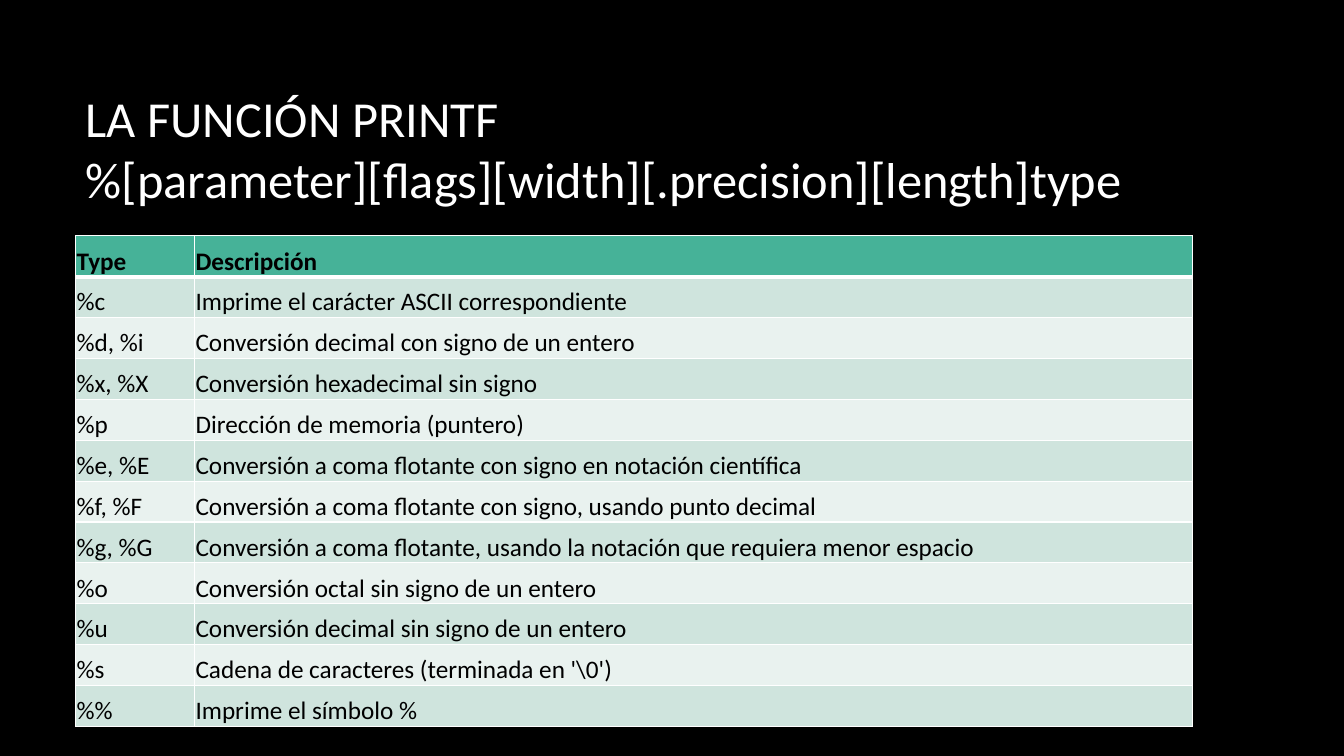
from dataclasses import dataclass

from lxml import etree
from pptx import Presentation
from pptx.dml.color import RGBColor
from pptx.enum.text import MSO_ANCHOR, MSO_AUTO_SIZE, PP_ALIGN
from pptx.oxml.ns import qn
from pptx.util import Inches, Pt

MIDDLE, BOTTOM = MSO_ANCHOR.MIDDLE, MSO_ANCHOR.BOTTOM
LEFT = PP_ALIGN.LEFT
NO_AUTOFIT = MSO_AUTO_SIZE.NONE
TITLE_ONLY = 5


@dataclass(frozen=True)
class Theme:
    font: str = "Calibri"
    background: str = "000000"
    title: str = "FFFFFF"
    text: str = "000000"
    border: str = "FFFFFF"
    header: str = "46B298"
    bands: tuple = ("CFE4DD", "E9F2EF")
    title_size: int = 36
    table_size: int = 18


THEME = Theme()

TITLE = ("LA FUNCIÓN PRINTF", "%[parameter][flags][width][.precision][length]type")
COLUMN_WIDTHS = (1.18, 9.9)
CONVERSIONS = [
    ("Type", "Descripción"),
    ("%c", "Imprime el carácter ASCII correspondiente"),
    ("%d, %i", "Conversión decimal con signo de un entero"),
    ("%x, %X", "Conversión hexadecimal sin signo"),
    ("%p", "Dirección de memoria (puntero)"),
    ("%e, %E", "Conversión a coma flotante con signo en notación científica"),
    ("%f, %F", "Conversión a coma flotante con signo, usando punto decimal"),
    ("%g, %G", "Conversión a coma flotante, usando la notación que requiera menor espacio"),
    ("%o", "Conversión octal sin signo de un entero"),
    ("%u", "Conversión decimal sin signo de un entero"),
    ("%s", "Cadena de caracteres (terminada en '\\0')"),
    ("%%", "Imprime el símbolo %"),
]


def add_text(p, text, *, size, color, bold=False):
    r = p.add_run()
    r.text = text
    r.font.name = THEME.font
    r.font.size = Pt(size)
    r.font.bold = bold
    r.font.color.rgb = RGBColor.from_string(color)


def set_background(s):
    fill = s.background.fill
    fill.solid()
    fill.fore_color.rgb = RGBColor.from_string(THEME.background)


def set_title(s, lines):
    sp = s.shapes.title
    sp.left, sp.top = Inches(0.75), Inches(0.67)
    sp.width, sp.height = Inches(11.08), Inches(1.59)
    tf = sp.text_frame
    tf.word_wrap = True
    tf.auto_size = NO_AUTOFIT
    tf.vertical_anchor = MIDDLE
    p = tf.paragraphs[0]
    p.alignment = LEFT
    for i, line in enumerate(lines):
        if i:
            p.add_line_break()
        add_text(p, line, size=THEME.title_size, color=THEME.title)


def set_borders(cell, widths):
    """Draw the cell's edges; widths maps each edge (L, R, T, B) to points."""
    tc_pr = cell._tc.get_or_add_tcPr()
    for edge, width in widths.items():
        ln = etree.SubElement(tc_pr, qn(f"a:ln{edge}"), w=str(Pt(width)))
        fill = etree.SubElement(ln, qn("a:solidFill"))
        etree.SubElement(fill, qn("a:srgbClr"), val=THEME.border)


def format_cell(cell, text, *, fill, bold, top, bottom):
    cell.margin_left = cell.margin_right = cell.margin_top = Inches(0.01)
    cell.margin_bottom = 0
    cell.vertical_anchor = BOTTOM
    set_borders(cell, {"L": 1, "R": 1, "T": top, "B": bottom})
    cell.fill.solid()
    cell.fill.fore_color.rgb = RGBColor.from_string(fill)
    p = cell.text_frame.paragraphs[0]
    add_text(p, text, size=THEME.table_size, color=THEME.text, bold=bold)


def add_conversion_table(s, rows):
    table = s.shapes.add_table(
        len(rows), len(COLUMN_WIDTHS),
        Inches(0.75), Inches(2.34), Inches(sum(COLUMN_WIDTHS)), Inches(4.87),
    ).table
    for column, width in zip(table.columns, COLUMN_WIDTHS):
        column.width = Inches(width)
    for i, row in enumerate(rows):
        is_header = i == 0
        fill = THEME.header if is_header else THEME.bands[(i - 1) % 2]
        for j, text in enumerate(row):
            format_cell(table.cell(i, j), text, fill=fill, bold=is_header,
                        top=3 if i == 1 else 1, bottom=3 if is_header else 1)


def main():
    prs = Presentation()
    prs.slide_width, prs.slide_height = Inches(13.33), Inches(7.5)
    s = prs.slides.add_slide(prs.slide_layouts[TITLE_ONLY])
    set_background(s)
    set_title(s, TITLE)
    add_conversion_table(s, CONVERSIONS)
    prs.save("out.pptx")


if __name__ == "__main__":
    main()
